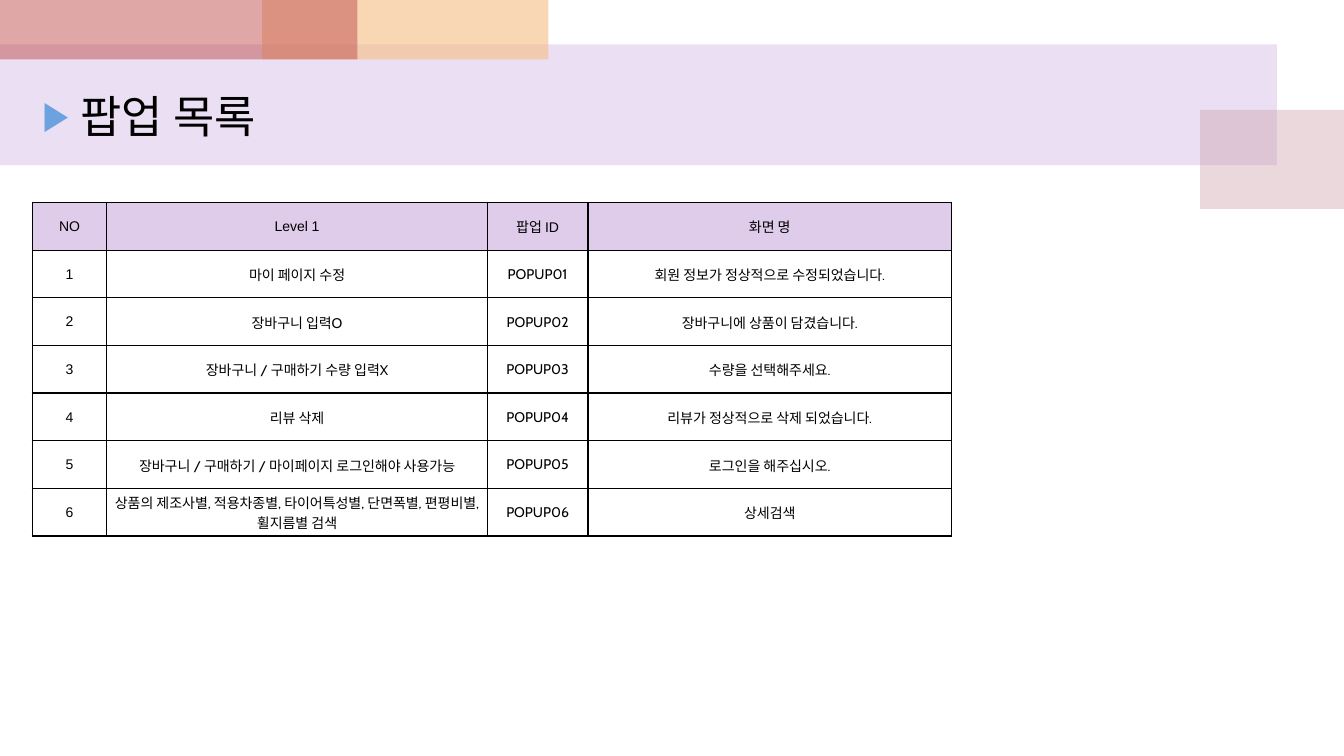
from lxml import etree
from pptx import Presentation
from pptx.dml.color import RGBColor
from pptx.enum.shapes import MSO_SHAPE
from pptx.enum.text import MSO_ANCHOR, MSO_AUTO_SIZE, PP_ALIGN
from pptx.oxml.ns import qn
from pptx.util import Inches, Pt

RECTANGLE = MSO_SHAPE.RECTANGLE
TOP, MIDDLE = MSO_ANCHOR.TOP, MSO_ANCHOR.MIDDLE
LEFT, CENTER = PP_ALIGN.LEFT, PP_ALIGN.CENTER
NO_AUTOFIT = MSO_AUTO_SIZE.NONE

BLACK = RGBColor(0x00, 0x00, 0x00)
LILAC = RGBColor(0xBF, 0x98, 0xD8)
ROSE = RGBColor(0xCC, 0x9E, 0xAC)
PEACH = RGBColor(0xF5, 0xBC, 0x83)
BRICK = RGBColor(0xC0, 0x50, 0x4D)
BULLET_BLUE = RGBColor(0x6B, 0xA2, 0xDF)
HEADER_LILAC = RGBColor(0xDF, 0xCC, 0xEB)

BANDS = [
    ((0, 5.87, 95, 16), LILAC, 30),
    ((89.3, 14.55, 10.7, 13.1), ROSE, 40),
    ((19.5, 0, 21.3, 7.87), PEACH, 60),
    ((0, 0, 26.6, 7.87), BRICK, 50),
]
HEADER = ["NO", "Level 1", "팝업 ID", "화면 명"]
POPUPS = [
    ("마이 페이지 수정", "회원 정보가 정상적으로 수정되었습니다."),
    ("장바구니 입력O", "장바구니에 상품이 담겼습니다."),
    ("장바구니 / 구매하기 수량 입력X", "수량을 선택해주세요."),
    ("리뷰 삭제", "리뷰가 정상적으로 삭제 되었습니다."),
    ("장바구니 / 구매하기 / 마이페이지 로그인해야 사용가능", "로그인을 해주십시오."),
    ("상품의 제조사별, 적용차종별, 타이어특성별, 단면폭별, 편평비별, 휠지름별 검색", "상세검색"),
]
COLUMN_SHARES = [5.55, 28.3, 7.5, 27.05]
ROW_SHARE = 6.3


class PopupSlide:
    heading_font = "Cabin"
    label_font = "Arial"

    def __init__(self, deck):
        self.deck = deck
        self.page = deck.slides.add_slide(deck.slide_layouts[5])

    def across(self, share):
        return round(self.deck.slide_width * share / 100)

    def down(self, share):
        return round(self.deck.slide_height * share / 100)

    def frame(self, left, top, width, height):
        return self.across(left), self.down(top), self.across(width), self.down(height)

    def style(self, para, size, font, align):
        para.alignment = align
        para.font.size = Pt(size)
        para.font.name = font
        para.font.color.rgb = BLACK

    def band(self, area, color, opacity):
        box = self.page.shapes.add_shape(RECTANGLE, *self.frame(*area))
        box.shadow.inherit = False
        box.line.fill.background()
        box.fill.solid()
        box.fill.fore_color.rgb = color
        tint = box.fill._xPr.find(".//" + qn("a:srgbClr"))
        etree.SubElement(tint, qn("a:alpha"), val=str(opacity * 1000))

    def title(self, text, area):
        box = self.page.shapes.title
        box.left, box.top, box.width, box.height = self.frame(*area)
        box.element.getparent().append(box.element)
        text_frame = box.text_frame
        text_frame.text = text
        text_frame.word_wrap = True
        text_frame.auto_size = NO_AUTOFIT
        text_frame.vertical_anchor = TOP
        para = text_frame.paragraphs[0]
        properties = para._p.get_or_add_pPr()
        properties.set("marL", str(Inches(0.38)))
        properties.set("indent", str(Inches(-0.38)))
        bullet_color = etree.SubElement(properties, qn("a:buClr"))
        etree.SubElement(bullet_color, qn("a:srgbClr"), val=str(BULLET_BLUE))
        etree.SubElement(properties, qn("a:buSzPct"), val="90000")
        etree.SubElement(properties, qn("a:buFont"), typeface=self.label_font)
        etree.SubElement(properties, qn("a:buChar"), char="▶")
        self.style(para, 32, self.heading_font, LEFT)

    def cell(self, cell, text, font, margin):
        cell.text = text
        cell.vertical_anchor = MIDDLE
        cell.margin_left = cell.margin_right = Inches(margin)
        cell.margin_top, cell.margin_bottom = Inches(0.01), 0
        self.style(cell.text_frame.paragraphs[0], 10, font, CENTER)
        properties = cell._tc.get_or_add_tcPr()
        for side in ("a:lnL", "a:lnR", "a:lnT", "a:lnB"):
            line = etree.SubElement(properties, qn(side), w=str(Pt(1)))
            paint = etree.SubElement(line, qn("a:solidFill"))
            etree.SubElement(paint, qn("a:srgbClr"), val=str(BLACK))

    def table(self, rows, left, top):
        area = self.frame(left, top, sum(COLUMN_SHARES), ROW_SHARE * len(rows))
        table = self.page.shapes.add_table(len(rows), len(COLUMN_SHARES), *area).table
        table.first_row = table.horz_banding = False
        for column, share in zip(table.columns, COLUMN_SHARES):
            column.width = self.across(share)
        for row_index, texts in enumerate(rows):
            table.rows[row_index].height = self.down(ROW_SHARE)
            for column_index, text in enumerate(texts):
                cell = table.cell(row_index, column_index)
                is_label = row_index == 0 or column_index == 0
                font = self.label_font if is_label else self.heading_font
                self.cell(cell, text, font, 0.04 if is_label else 0.01)
                if row_index == 0:
                    cell.fill.solid()
                    cell.fill.fore_color.rgb = HEADER_LILAC
                else:
                    cell.fill.background()


def main():
    deck = Presentation()
    deck.slide_width, deck.slide_height = Inches(13.33), Inches(7.5)
    slide = PopupSlide(deck)
    for area, color, opacity in BANDS:
        slide.band(area, color, opacity)
    slide.title("팝업 목록", (2.4, 11.1, 50.8, 4.3))
    rows = [HEADER] + [
        (str(number), level, f"POPUP{number:02}", message)
        for number, (level, message) in enumerate(POPUPS, 1)
    ]
    slide.table(rows, 2.4, 26.8)
    deck.save("out.pptx")


if __name__ == "__main__":
    main()
